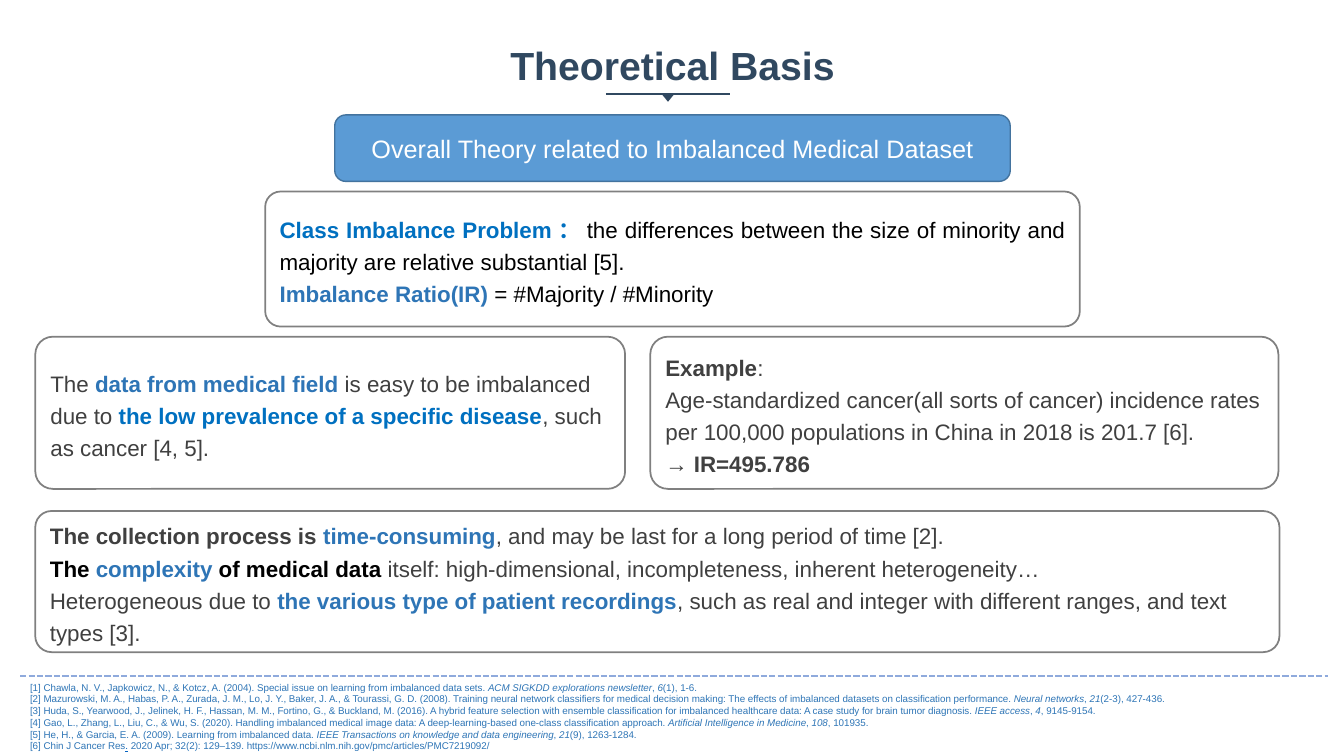
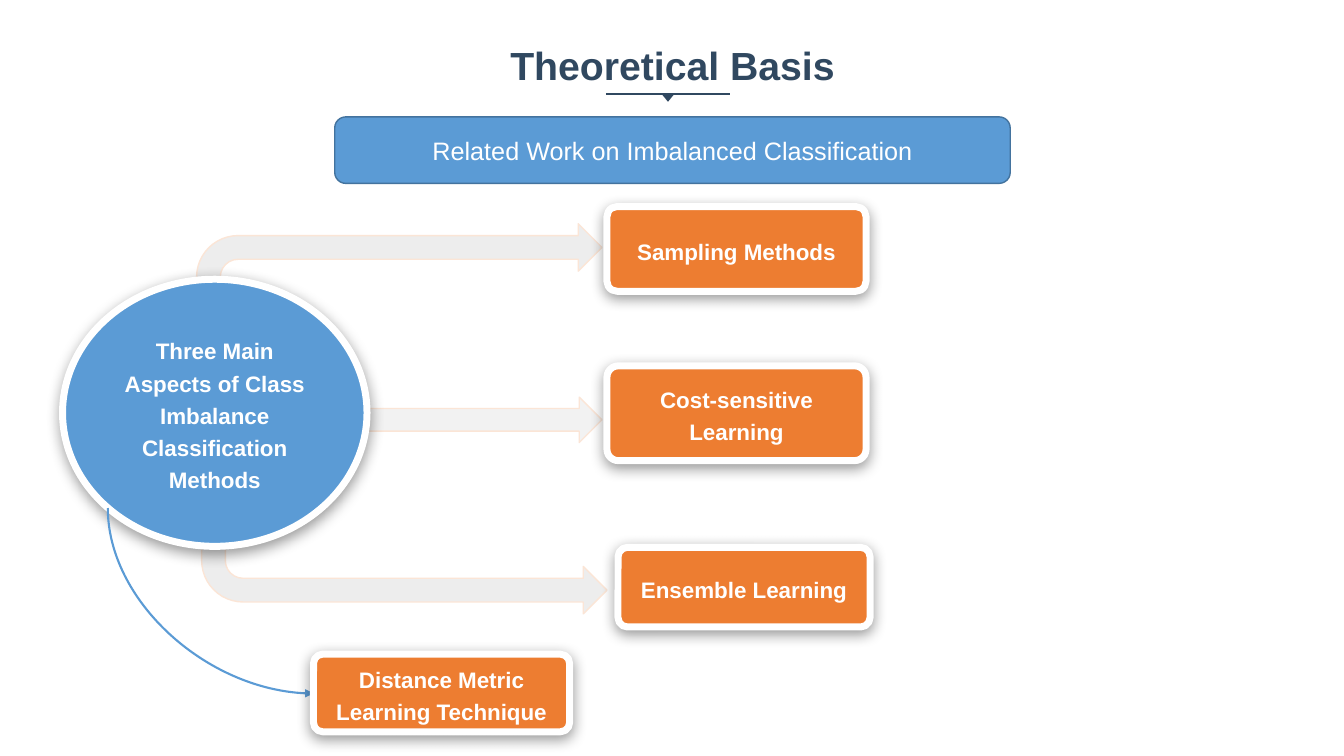
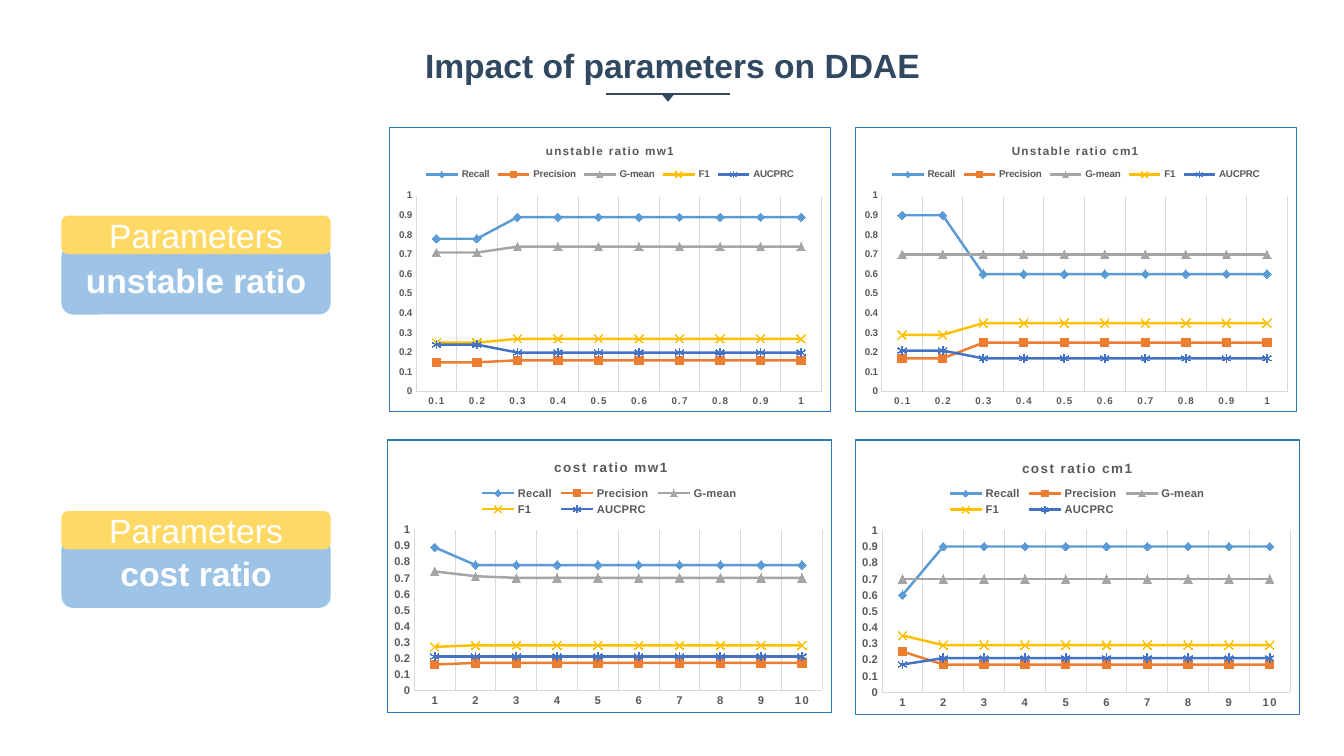
from pptx import Presentation
from pptx.chart.data import CategoryChartData
from pptx.dml.color import RGBColor
from pptx.enum.chart import XL_CHART_TYPE, XL_LEGEND_POSITION, XL_MARKER_STYLE, XL_TICK_MARK
from pptx.enum.dml import MSO_LINE
from pptx.enum.shapes import MSO_CONNECTOR, MSO_SHAPE
from pptx.enum.text import MSO_ANCHOR, PP_ALIGN
from pptx.oxml import parse_xml
from pptx.oxml.ns import nsdecls, qn
from pptx.util import Inches, Pt

FONT = "Arial"
NAVY = RGBColor(0x30, 0x48, 0x60)
BLUE = RGBColor(0x5B, 0x9B, 0xD5)
BLUE_EDGE = RGBColor(0x43, 0x73, 0x9E)
BRIGHT_BLUE = RGBColor(0x00, 0x70, 0xC0)
MID_BLUE = RGBColor(0x2E, 0x75, 0xB6)
LINK_BLUE = RGBColor(0x05, 0x63, 0xC1)
DASH_BLUE = RGBColor(0x8F, 0xAA, 0xDC)
PALE_BLUE = RGBColor(0x9D, 0xC3, 0xE6)
ROYAL_BLUE = RGBColor(0x44, 0x72, 0xC4)
ORANGE = RGBColor(0xED, 0x7D, 0x31)
PEACH = RGBColor(0xFB, 0xE5, 0xD6)
GOLD = RGBColor(0xFF, 0xC0, 0x00)
YELLOW = RGBColor(0xFF, 0xD9, 0x66)
BLACK = RGBColor(0, 0, 0)
DARK_GRAY = RGBColor(0x40, 0x40, 0x40)
TEXT_GRAY = RGBColor(0x59, 0x59, 0x59)
EDGE_GRAY = RGBColor(0x80, 0x80, 0x80)
SERIES_GRAY = RGBColor(0xA5, 0xA5, 0xA5)
GRID_GRAY = RGBColor(0xD9, 0xD9, 0xD9)
ARROW_GRAY = RGBColor(0xED, 0xED, 0xED)
PALE_GRAY = RGBColor(0xF2, 0xF2, 0xF2)
WHITE = RGBColor(0xFF, 0xFF, 0xFF)

# A paragraph is a list of runs; a run is plain text or (text, format).
KEY = {"color": MID_BLUE, "bold": True}
BRIGHT = {"color": BRIGHT_BLUE, "bold": True}
STRONG = {"bold": True}
STRONG_BLACK = {"color": BLACK, "bold": True}
PLAIN_BLACK = {"color": BLACK}
ITALIC = {"italic": True}

# (left, top, width, height), alignment, paragraphs
PANELS = [
    ((2.63, 1.9, 8.08, 1.34), PP_ALIGN.JUSTIFY, [
        [("Class Imbalance Problem：", BRIGHT),
         ("the differences between the size of minority and majority are relative "
          "substantial [5].", PLAIN_BLACK)],
        [("Imbalance Ratio(IR) ", KEY), ("= #Majority / #Minority", PLAIN_BLACK)]]),
    ((0.35, 3.34, 5.85, 1.51), PP_ALIGN.LEFT, [
        ["The ", ("data from medical field ", KEY), "is easy to be imbalanced due to ",
         ("the low prevalence of a specific disease", BRIGHT), ", such as cancer [4, 5]."]]),
    ((6.45, 3.34, 6.23, 1.51), PP_ALIGN.LEFT, [
        [("Example", STRONG), ":"],
        ["Age-standardized cancer(all sorts of cancer) incidence rates per 100,000 "
         "populations in China in 2018 is 201.7 [6]."],
        [("→ IR=495.786", STRONG)]]),
    ((0.35, 5.07, 12.34, 1.4), PP_ALIGN.LEFT, [
        [("The collection process is ", STRONG), ("time-consuming", KEY),
         ", and may be last for a long period of time [2]."],
        [("The ", STRONG_BLACK), ("complexity", KEY), (" of medical data ", STRONG_BLACK),
         "itself: high-dimensional, incompleteness, inherent heterogeneity…"],
        ["Heterogeneous due to ", ("the various type of patient recordings", KEY),
         ", such as real and integer with different ranges, and text types [3]."]]),
]

REFERENCES = [
    ["[1] Chawla, N. V., Japkowicz, N., & Kotcz, A. (2004). Special issue on learning from "
     "imbalanced data sets. ", ("ACM SIGKDD explorations newsletter", ITALIC), ", ",
     ("6", ITALIC), "(1), 1-6."],
    ["[2] Mazurowski, M. A., Habas, P. A., Zurada, J. M., Lo, J. Y., Baker, J. A., & Tourassi, "
     "G. D. (2008). Training neural network classifiers for medical decision making: The "
     "effects of imbalanced datasets on classification performance. ",
     ("Neural networks", ITALIC), ", ", ("21", ITALIC), "(2-3), 427-436."],
    ["[3] Huda, S., Yearwood, J., Jelinek, H. F., Hassan, M. M., Fortino, G., & Buckland, M. "
     "(2016). A hybrid feature selection with ensemble classification for imbalanced "
     "healthcare data: A case study for brain tumor diagnosis. ",
     ("IEEE access", ITALIC), ", ", ("4", ITALIC), ", 9145-9154."],
    ["[4] Gao, L., Zhang, L., Liu, C., & Wu, S. (2020). Handling imbalanced medical image "
     "data: A deep-learning-based one-class classification approach. ",
     ("Artificial Intelligence in Medicine", ITALIC), ", ", ("108", ITALIC), ", 101935."],
    ["[5] He, H., & Garcia, E. A. (2009). Learning from imbalanced data. ",
     ("IEEE Transactions on knowledge and data engineering", ITALIC), ", ",
     ("21", ITALIC), "(9), 1263-1284."],
    ["[6] Chin J Cancer Res", (".", {"color": LINK_BLUE, "underline": True}),
     " 2020 Apr; 32(2): 129–139. https://www.ncbi.nlm.nih.gov/pmc/articles/PMC7219092/"],
]

METHODS = [
    ("Sampling Methods", (6.02, 2.05, 2.57, 0.84)),
    ("Cost-sensitive Learning", (6.02, 3.63, 2.57, 0.94)),
    ("Ensemble Learning", (6.13, 5.43, 2.5, 0.79)),
    ("Distance Metric Learning Technique", (3.11, 6.49, 2.54, 0.77)),
]

# shape, place, fill, flipped vertically
FLOW_ARROWS = [
    (MSO_SHAPE.BENT_ARROW, (2, 5.15, 4.02, 0.94), ARROW_GRAY, True),
    (MSO_SHAPE.RIGHT_ARROW, (3.22, 3.94, 2.75, 0.45), PALE_GRAY, False),
    (MSO_SHAPE.BENT_ARROW, (1.95, 2.22, 4.02, 0.94), ARROW_GRAY, False),
]

# parameter, top of yellow tab, top of blue plate
PARAMETERS = [("unstable ratio", 2.14, 2.43), ("cost ratio", 5.07, 5.34)]

# name, colour, marker, filled marker
SERIES = [
    ("Recall", BLUE, XL_MARKER_STYLE.DIAMOND, True),
    ("Precision", ORANGE, XL_MARKER_STYLE.SQUARE, True),
    ("G-mean", SERIES_GRAY, XL_MARKER_STYLE.TRIANGLE, True),
    ("F1", GOLD, XL_MARKER_STYLE.X, False),
    ("AUCPRC", ROYAL_BLUE, XL_MARKER_STYLE.STAR, False),
]
POINTS = 10
# Layouts are fractions of the chart: left, top, width, height.
UNSTABLE = {
    "categories": ["0.1", "0.2", "0.3", "0.4", "0.5", "0.6", "0.7", "0.8", "0.9", "1"],
    "size": 7, "title_at": (0.35, 0.05),
    "legend_at": (0.07, 0.13, 0.86, 0.07), "plot_at": (0.06, 0.24, 0.92, 0.69)}
COST = {
    "categories": [str(number) for number in range(1, POINTS + 1)],
    "size": 8, "title_at": (0.37, 0.06),
    "legend_at": (0.2, 0.16, 0.6, 0.13), "plot_at": (0.06, 0.33, 0.92, 0.59)}
# Each series lists its first values; the last one holds to the end.
CHARTS = [
    ("unstable ratio mw1", (3.86, 1.26, 4.38, 2.83), UNSTABLE,
     [(0.78, 0.78, 0.89), (0.15, 0.15, 0.16), (0.71, 0.71, 0.74),
      (0.25, 0.25, 0.27), (0.24, 0.24, 0.2)]),
    ("Unstable ratio cm1", (8.48, 1.26, 4.38, 2.83), UNSTABLE,
     [(0.9, 0.9, 0.6), (0.17, 0.17, 0.25), (0.7,), (0.29, 0.29, 0.35), (0.21, 0.21, 0.17)]),
    ("cost ratio mw1", (3.84, 4.36, 4.41, 2.71), COST,
     [(0.89, 0.78), (0.16, 0.17), (0.74, 0.71, 0.7), (0.27, 0.28), (0.21,)]),
    ("cost ratio cm1", (8.48, 4.36, 4.41, 2.73), COST,
     [(0.6, 0.9), (0.25, 0.17), (0.7,), (0.35, 0.29), (0.17, 0.21)]),
]


def set_font(font, size, color, bold=False, italic=False, underline=False):
    font.name, font.size = FONT, Pt(size)
    font.bold, font.italic, font.underline = bold, italic, underline
    font.color.rgb = color


def write(box, paragraphs, size=16, color=WHITE, bold=False, align=PP_ALIGN.CENTER,
          spacing=None, anchor=MSO_ANCHOR.MIDDLE):
    """Fill a box with text: a string, or a list of paragraphs made of runs."""
    if isinstance(paragraphs, str):
        paragraphs = [[paragraphs]]
    frame = box.text_frame
    frame.word_wrap = True
    frame.vertical_anchor = anchor
    for index, runs in enumerate(paragraphs):
        para = frame.add_paragraph() if index else frame.paragraphs[0]
        para.alignment = align
        if spacing:
            para.line_spacing = spacing
        for run in runs:
            text, changes = (run, {}) if isinstance(run, str) else run
            span = para.add_run()
            span.text = text
            set_font(span.font, size, **{"color": color, "bold": bold, **changes})


def add_box(page, place, kind=MSO_SHAPE.ROUNDED_RECTANGLE, fill=None, line=None, width=1,
            corner=None):
    box = page.shapes.add_shape(kind, *map(Inches, place))
    box.shadow.inherit = False
    if fill is None:
        box.fill.background()
    else:
        box.fill.solid()
        box.fill.fore_color.rgb = fill
    if line is None:
        box.line.fill.background()
    else:
        box.line.color.rgb = line
        box.line.width = Pt(width)
    if corner:
        box.adjustments[0] = corner
    return box


def add_raised_box(page, place, text, **look):
    """Add a white-edged box with a soft shadow below it."""
    box = add_box(page, place, line=WHITE, width=5, **look)
    box._element.spPr.find(qn("a:effectLst")).append(parse_xml(
        f'<a:outerShdw {nsdecls("a")} blurRad="127000" dist="38100" dir="5400000" algn="t" '
        'rotWithShape="0"><a:srgbClr val="000000"><a:alpha val="40000"/></a:srgbClr>'
        '</a:outerShdw>'))
    write(box, text, bold=True, spacing=1.2)


def add_line(page, start, end, color, kind=MSO_CONNECTOR.STRAIGHT):
    line = page.shapes.add_connector(kind, *map(Inches, start + end))
    line.line.color.rgb = color
    line.line.width = Pt(1.5)
    line._element.spPr.append(parse_xml(f'<a:effectLst {nsdecls("a")}/>'))
    return line


def add_page(deck, title, size=28):
    """Add a blank page with the title and the mark under it."""
    page = deck.slides.add_slide(deck.slide_layouts[6])
    add_line(page, (6.01, 0.93), (7.24, 0.93), NAVY)
    pointer = add_box(page, (6.56, 0.93, 0.13, 0.08), MSO_SHAPE.ISOSCELES_TRIANGLE, NAVY)
    pointer.rotation = 180
    box = page.shapes.add_textbox(Inches(3.67), Inches(0.36), Inches(6), Inches(0.57))
    write(box, title, size=size, color=NAVY, bold=True)
    return page


def add_banner(page, text, top):
    banner = add_box(page, (3.32, top, 6.7, 0.66), fill=BLUE, line=BLUE_EDGE)
    write(banner, text, size=18)


def set_layout(element, position, place, inner=False):
    """Fix a chart part at fractions of the chart, as its child number position."""
    old = element.find(qn("c:layout"))
    if old is not None:
        element.remove(old)
    parts = '<c:layoutTarget val="inner"/>' if inner else ""
    parts += '<c:xMode val="edge"/><c:yMode val="edge"/>'
    parts += "".join(f'<c:{name} val="{value}"/>' for name, value in zip("xywh", place))
    element.insert(position, parse_xml(
        f'<c:layout {nsdecls("c")}><c:manualLayout>{parts}</c:manualLayout></c:layout>'))


def style_axis(axis, size):
    axis.major_tick_mark = axis.minor_tick_mark = XL_TICK_MARK.NONE
    axis.format.line.color.rgb = GRID_GRAY
    axis.format.line.width = Pt(0.75)
    set_font(axis.tick_labels.font, size, TEXT_GRAY, bold=True)


def add_line_chart(page, title, place, style, values):
    data = CategoryChartData()
    data.categories = style["categories"]
    for (name, *_), start in zip(SERIES, values):
        data.add_series(name, start + start[-1:] * (POINTS - len(start)))
    chart = page.shapes.add_chart(
        XL_CHART_TYPE.LINE_MARKERS, *map(Inches, place), data).chart
    size = style["size"]
    set_font(chart.font, size, BLACK, bold=True)
    chart._chartSpace.find(qn("c:chart")).addnext(parse_xml(
        f'<c:spPr {nsdecls("c", "a")}><a:noFill/><a:ln w="9525"><a:solidFill>'
        f'<a:srgbClr val="{MID_BLUE}"/></a:solidFill></a:ln></c:spPr>'))

    chart.has_title = True
    heading = chart.chart_title.text_frame.paragraphs[0].add_run()
    heading.text = title
    set_font(heading.font, round(size * 1.2, 1), TEXT_GRAY, bold=True)
    heading.font._element.set("spc", "100")
    set_layout(chart.chart_title._element, 1, style["title_at"])

    chart.has_legend = True
    chart.legend.position = XL_LEGEND_POSITION.TOP
    chart.legend.include_in_layout = False
    set_font(chart.legend.font, size, TEXT_GRAY, bold=True)
    set_layout(chart.legend._element, 1, style["legend_at"])
    set_layout(chart._chartSpace.chart.plotArea, 0, style["plot_at"], inner=True)

    category, value = chart.category_axis, chart.value_axis
    style_axis(category, size)
    style_axis(value, size)
    category.tick_labels.font._element.set("spc", "100")
    category.has_major_gridlines = True
    category.major_gridlines.format.line.color.rgb = GRID_GRAY
    category.major_gridlines.format.line.width = Pt(0.75)
    value.has_major_gridlines = False
    value.minimum_scale, value.maximum_scale, value.major_unit = 0, 1, 0.1
    value.tick_labels.number_format = "General"
    value.tick_labels.number_format_is_linked = False

    plot = chart.plots[0]
    plot.vary_by_categories = False
    for series, (_, color, marker, filled) in zip(plot.series, SERIES):
        series.smooth = False
        series.format.line.color.rgb = color
        series.format.line.width = Pt(1.75)
        series.marker.style, series.marker.size = marker, 6
        look = series.marker.format
        look.line.color.rgb = color
        if filled:
            look.fill.solid()
            look.fill.fore_color.rgb = color
        else:
            look.fill.background()


def add_theory_page(deck):
    page = add_page(deck, "Theoretical Basis")
    add_banner(page, "Overall Theory related to Imbalanced Medical Dataset", 1.14)
    for place, align, paragraphs in PANELS:
        panel = add_box(page, place, line=EDGE_GRAY, width=1.25, corner=0.115)
        write(panel, paragraphs, color=DARK_GRAY, align=align, spacing=1.2)
    divider = add_line(page, (0.2, 6.71), (13.17, 6.71), DASH_BLUE)
    divider.line.dash_style = MSO_LINE.SQUARE_DOT
    notes = page.shapes.add_textbox(Inches(0.2), Inches(6.71), Inches(11.67), Inches(0.81))
    write(notes, REFERENCES, size=7, color=MID_BLUE, align=PP_ALIGN.LEFT,
          anchor=MSO_ANCHOR.TOP)


def add_methods_page(deck):
    page = add_page(deck, "Theoretical Basis")
    add_banner(page, "Related Work on Imbalanced Classification", 1.16)
    for kind, place, fill, flipped in FLOW_ARROWS:
        arrow = add_box(page, place, kind, fill, line=PEACH)
        if flipped:
            arrow._element.spPr.xfrm.set("flipV", "1")
    add_raised_box(page, (0.62, 2.77, 3.02, 2.65),
                   "Three Main Aspects of Class Imbalance Classification Methods",
                   kind=MSO_SHAPE.OVAL, fill=BLUE)

    # Turned and flipped so that the curve leaves downwards and arrives from the left.
    curve = add_line(page, (1.17, 4.94), (3.01, 6.98), BLUE, MSO_CONNECTOR.CURVE)
    outline = curve._element.spPr
    outline.find(qn("a:prstGeom")).set("prst", "curvedConnector2")
    outline.xfrm.set("rot", "16200000")
    outline.xfrm.set("flipH", "1")
    outline.find(qn("a:ln")).append(parse_xml(f'<a:tailEnd {nsdecls("a")} type="triangle"/>'))

    for text, place in METHODS:
        add_raised_box(page, place, text, fill=ORANGE, corner=0.119)


def add_parameters_page(deck):
    page = add_page(deck, "Impact of parameters on DDAE", size=24)
    for name, tab_top, plate_top in PARAMETERS:
        plate = add_box(page, (0.61, plate_top, 2.67, 0.69), fill=PALE_BLUE)
        write(plate, name, size=24, bold=True)
        tab = add_box(page, (0.61, tab_top, 2.67, 0.38), fill=YELLOW)
        write(tab, "Parameters", size=24)
    for chart in CHARTS:
        add_line_chart(page, *chart)


def main():
    deck = Presentation()
    deck.slide_width, deck.slide_height = Inches(13.33), Inches(7.5)
    add_theory_page(deck)
    add_methods_page(deck)
    add_parameters_page(deck)
    deck.save("out.pptx")


if __name__ == "__main__":
    main()
